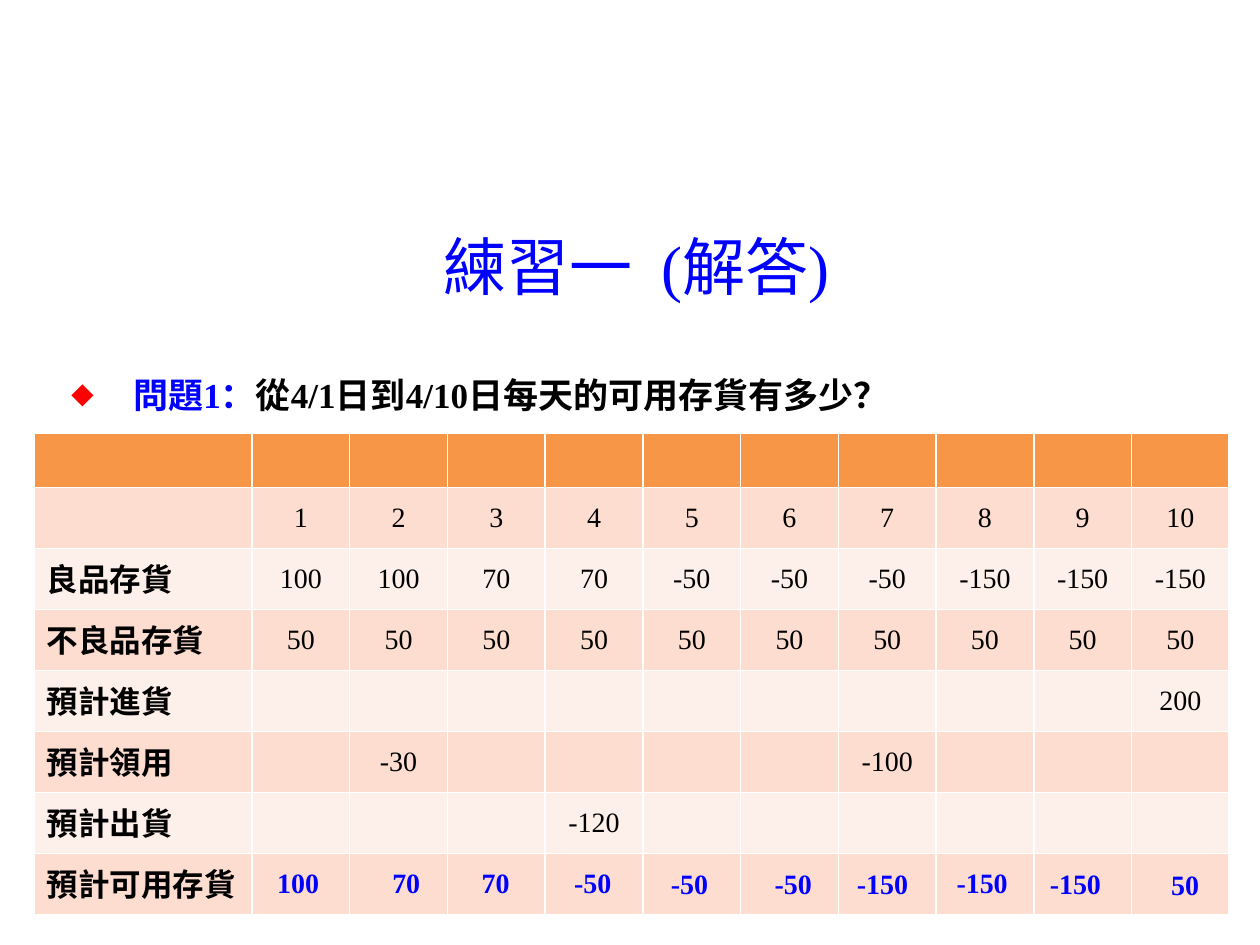
from lxml import etree
from pptx import Presentation
from pptx import util as u
from pptx.dml.color import RGBColor
from pptx.enum import text as t
from pptx.oxml import ns

COLORS = {
    "blue": "0000FF",
    "black": "000000",
    "bullet": "FF0000",
    "header": "F79646",
    "dark_band": "FCDDCF",
    "light_band": "FDEFE9",
}
LATIN = "Times New Roman"
CHINESE = "Noto Sans CJK SC"

STOCK_ROWS = [
    ["", *range(1, 11)],
    ["良品存貨", 100, 100, 70, 70, -50, -50, -50, -150, -150, -150],
    ["不良品存貨"] + [50] * 10,
    ["預計進貨"] + [""] * 9 + [200],
    ["預計領用", "", -30, "", "", "", "", -100, "", "", ""],
    ["預計出貨", "", "", "", -120, "", "", "", "", "", ""],
    ["預計可用存貨"] + [""] * 10,
]
ANSWERS = [
    (100, 5.11, 17.32), (70, 7.29, 17.32), (70, 9.09, 17.32),
    (-50, 11.05, 17.32), (-50, 13, 17.35), (-50, 15.09, 17.35),
    (-150, 16.89, 17.35), (-150, 18.9, 17.32), (-150, 20.78, 17.35),
    (50, 22.99, 17.37),
]


def add_text(paragraph, content, size=16, color="black", bold=False, font=LATIN, align=None):
    run = paragraph.add_run()
    run.text = str(content)
    run.font.size = u.Pt(size)
    run.font.bold = bold
    run.font.color.rgb = RGBColor.from_string(COLORS[color])
    run.font.name = font
    latin = run.font._element.find(ns.qn("a:latin"))
    east_asian = etree.Element(ns.qn("a:ea"), typeface=CHINESE)
    latin.addnext(east_asian)
    if align is not None:
        paragraph.alignment = align


class SlideBuilder:
    center = t.PP_ALIGN.CENTER

    def __init__(self, presentation):
        self.slide = presentation.slides.add_slide(presentation.slide_layouts[1])

    def place(self, shape, left, top, width, height):
        shape.left, shape.top = u.Cm(left), u.Cm(top)
        shape.width, shape.height = u.Cm(width), u.Cm(height)
        shape.text_frame.auto_size = t.MSO_AUTO_SIZE.NONE
        return shape.text_frame

    def title(self, content):
        frame = self.place(self.slide.shapes.title, 1.4, 3.76, 22.86, 3.18)
        frame.vertical_anchor = t.MSO_ANCHOR.MIDDLE
        add_text(frame.paragraphs[0], content, size=36, color="blue", align=self.center)

    def question(self, label, content):
        frame = self.place(self.slide.placeholders[1], 1.19, 7.34, 23.6, 8.99)
        paragraph = frame.paragraphs[0]
        paragraph.line_spacing = u.Pt(26)
        paragraph.space_before = u.Pt(12)
        add_text(paragraph, label, size=20, color="blue", bold=True)
        add_text(paragraph, content, size=20, bold=True)
        properties = paragraph._p.get_or_add_pPr()
        properties.set("marL", str(u.Cm(1.24)))
        properties.set("indent", str(-u.Cm(1.24)))
        bullet_color = etree.SubElement(properties, ns.qn("a:buClr"))
        etree.SubElement(bullet_color, ns.qn("a:srgbClr"), val=COLORS["bullet"])
        etree.SubElement(properties, ns.qn("a:buSzPct"), val="65000")
        etree.SubElement(properties, ns.qn("a:buFont"), typeface=CHINESE)
        etree.SubElement(properties, ns.qn("a:buChar"), char="◆")

    def stock_table(self, rows):
        rows = [[""] * len(rows[0])] + rows
        frame = self.slide.shapes.add_table(
            len(rows), len(rows[0]), u.Cm(0.69), u.Cm(8.74), u.Cm(24.09), u.Cm(9.7)
        )
        table = frame.table
        for index, column in enumerate(table.columns):
            column.width = u.Cm(1.97 if index else 4.39)
        for row_index, values in enumerate(rows):
            table.rows[row_index].height = u.Cm(1.23 if row_index else 1.09)
            band = "dark_band" if row_index % 2 else "light_band"
            for column_index, value in enumerate(values):
                cell = table.cell(row_index, column_index)
                cell.fill.solid()
                fill = band if row_index else "header"
                cell.fill.fore_color.rgb = RGBColor.from_string(COLORS[fill])
                if value == "":
                    continue
                paragraph = cell.text_frame.paragraphs[0]
                if column_index:
                    cell.vertical_anchor = t.MSO_ANCHOR.MIDDLE
                    add_text(paragraph, value, align=self.center)
                else:
                    add_text(paragraph, value, size=18, bold=True, font=CHINESE)

    def answer(self, value, left, top):
        box = self.slide.shapes.add_textbox(u.Cm(left), u.Cm(top), u.Cm(1.8), u.Cm(0.94))
        box.text_frame.word_wrap = True
        box.text_frame.auto_size = t.MSO_AUTO_SIZE.SHAPE_TO_FIT_TEXT
        add_text(box.text_frame.paragraphs[0], value, color="blue", bold=True, align=self.center)


def main():
    presentation = Presentation()
    presentation.slide_width, presentation.slide_height = u.Cm(25.4), u.Cm(19.05)
    builder = SlideBuilder(presentation)
    builder.title("練習一  (解答)")
    builder.question("問題1：", "從4/1日到4/10日每天的可用存貨有多少？")
    builder.stock_table(STOCK_ROWS)
    for value, left, top in ANSWERS:
        builder.answer(value, left, top)
    presentation.save("out.pptx")


if __name__ == "__main__":
    main()
